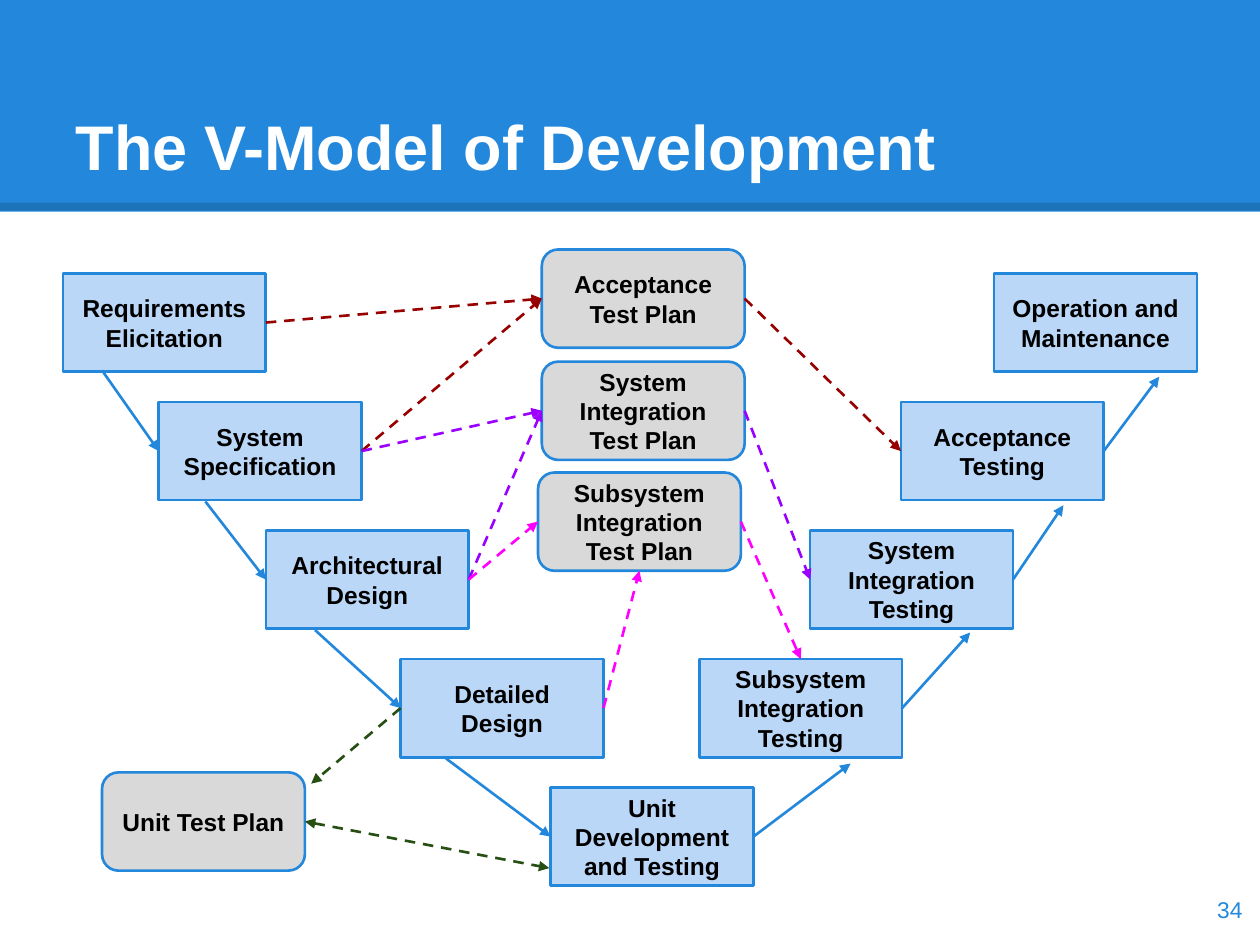
from dataclasses import dataclass
from typing import Optional, Union

from lxml import etree
from pptx import Presentation
from pptx.dml.color import RGBColor
from pptx.enum.dml import MSO_LINE
from pptx.enum.shapes import MSO_CONNECTOR, MSO_SHAPE
from pptx.enum.text import MSO_ANCHOR, MSO_AUTO_SIZE, PP_ALIGN
from pptx.oxml.ns import qn
from pptx.util import Inches, Pt

RECT, ROUNDED = MSO_SHAPE.RECTANGLE, MSO_SHAPE.ROUNDED_RECTANGLE
STRAIGHT, DASH = MSO_CONNECTOR.STRAIGHT, MSO_LINE.DASH
MIDDLE, BOTTOM_ANCHOR = MSO_ANCHOR.MIDDLE, MSO_ANCHOR.BOTTOM
NO_AUTOFIT = MSO_AUTO_SIZE.NONE
ALIGN_LEFT, ALIGN_CENTER, ALIGN_RIGHT = PP_ALIGN.LEFT, PP_ALIGN.CENTER, PP_ALIGN.RIGHT
TOP, LEFT, BOTTOM, RIGHT = range(4)

BLUE, PALE_BLUE, GREY = "2388DB", "BBD7F8", "D9D9D9"
RED, PURPLE, MAGENTA, GREEN = "980000", "9900FF", "FF00FF", "274E13"
WHITE, BLACK = "FFFFFF", "000000"
BOX_WIDTH, BOX_HEIGHT = 1.61, 0.78
FIRST_ROW, ROW_PITCH = 2.17, 1.02

End = Union[tuple[str, int], tuple[float, float]]


@dataclass(frozen=True)
class Box:
    label: str
    left: float
    top: float
    is_plan: bool = False


@dataclass(frozen=True)
class Arrow:
    start: End
    finish: End
    color: str = BLUE
    dashed: bool = False
    both_ways: bool = False


def row_top(row: int) -> float:
    return FIRST_ROW + row * ROW_PITCH


PHASES = [
    Box("Requirements Elicitation", 0.5, row_top(0)),
    Box("System Specification", 1.26, row_top(1)),
    Box("Architectural Design", 2.11, row_top(2)),
    Box("Detailed Design", 3.18, row_top(3)),
    Box("Unit Development and Testing", 4.37, row_top(4)),
    Box("Subsystem Integration Testing", 5.55, row_top(3)),
    Box("System Integration Testing", 6.43, row_top(2)),
    Box("Acceptance Testing", 7.15, row_top(1)),
    Box("Operation and Maintenance", 7.89, row_top(0)),
]
PLANS = [
    Box("Acceptance Test Plan", 4.3, 1.98, True),
    Box("System Integration Test Plan", 4.3, 2.87, True),
    Box("Subsystem Integration Test Plan", 4.27, 3.75, True),
    Box("Unit Test Plan", 0.81, 6.13, True),
]
REQUIREMENTS, SPECIFICATION, ARCHITECTURE, DETAIL, UNIT, SUBSYSTEM, SYSTEM, ACCEPTANCE, _ = [
    phase.label for phase in PHASES
]
ACCEPTANCE_PLAN, SYSTEM_PLAN, SUBSYSTEM_PLAN, UNIT_PLAN = [plan.label for plan in PLANS]

ARROWS = [
    Arrow((0.81, 2.94), (SPECIFICATION, LEFT)),
    Arrow((1.63, 3.98), (ARCHITECTURE, LEFT)),
    Arrow((2.5, 5.0), (DETAIL, LEFT)),
    Arrow((3.54, 6.02), (UNIT, LEFT)),
    Arrow((UNIT, RIGHT), (6.75, 6.06)),
    Arrow((SUBSYSTEM, RIGHT), (7.7, 5.02)),
    Arrow((SYSTEM, RIGHT), (8.44, 4.01)),
    Arrow((ACCEPTANCE, RIGHT), (9.2, 2.99)),
    Arrow((REQUIREMENTS, RIGHT), (ACCEPTANCE_PLAN, LEFT), RED, True),
    Arrow((SPECIFICATION, RIGHT), (ACCEPTANCE_PLAN, LEFT), RED, True),
    Arrow((SPECIFICATION, RIGHT), (SYSTEM_PLAN, LEFT), PURPLE, True),
    Arrow((ARCHITECTURE, RIGHT), (SYSTEM_PLAN, LEFT), PURPLE, True),
    Arrow((ARCHITECTURE, RIGHT), (SUBSYSTEM_PLAN, LEFT), MAGENTA, True),
    Arrow((DETAIL, RIGHT), (SUBSYSTEM_PLAN, BOTTOM), MAGENTA, True),
    Arrow((ACCEPTANCE_PLAN, RIGHT), (ACCEPTANCE, LEFT), RED, True),
    Arrow((SYSTEM_PLAN, RIGHT), (SYSTEM, LEFT), PURPLE, True),
    Arrow((SUBSYSTEM_PLAN, RIGHT), (SUBSYSTEM, TOP), MAGENTA, True),
    Arrow((UNIT_PLAN, RIGHT), (4.36, 6.89), GREEN, True, True),
    Arrow((DETAIL, LEFT), (2.47, 6.22), GREEN, True),
]


def rgb(color: str) -> RGBColor:
    return RGBColor.from_string(color)


def write(shape, text: str, size: float, color: str, bold: bool, align, anchor) -> None:
    frame = shape.text_frame
    frame.word_wrap = True
    frame.auto_size = NO_AUTOFIT
    frame.vertical_anchor = anchor
    frame.margin_left = frame.margin_right = Inches(0.1)
    frame.margin_top = frame.margin_bottom = Inches(0.1)
    paragraph = frame.paragraphs[0]
    paragraph.alignment = align
    run = paragraph.add_run()
    run.text = text
    run.font.name = "Arial"
    run.font.size = Pt(size)
    run.font.bold = bold
    run.font.color.rgb = rgb(color)


def add_filled(slide, kind, left: float, top: float, width: float, height: float,
               fill: str, outline: Optional[str] = None):
    shape = slide.shapes.add_shape(kind, Inches(left), Inches(top), Inches(width), Inches(height))
    shape.shadow.inherit = False
    shape.fill.solid()
    shape.fill.fore_color.rgb = rgb(fill)
    if outline:
        shape.line.color.rgb = rgb(outline)
        shape.line.width = Pt(1.5)
    else:
        shape.line.fill.background()
    return shape


def add_box(slide, box: Box):
    kind, fill = (ROUNDED, GREY) if box.is_plan else (RECT, PALE_BLUE)
    shape = add_filled(slide, kind, box.left, box.top, BOX_WIDTH, BOX_HEIGHT, fill, BLUE)
    write(shape, box.label, 14, BLACK, True, ALIGN_CENTER, MIDDLE)
    return shape


def add_line(slide, start: tuple, finish: tuple, color: str, width: float):
    points = [Inches(length) for length in (*start, *finish)]
    line = slide.shapes.add_connector(STRAIGHT, *points)
    line.line.color.rgb = rgb(color)
    line.line.width = Pt(width)
    etree.SubElement(line.element.spPr, qn("a:effectLst"))
    return line


def add_arrow(slide, arrow: Arrow, boxes: dict) -> None:
    joined = [isinstance(end[0], str) for end in (arrow.start, arrow.finish)]
    start = (0, 0) if joined[0] else arrow.start
    finish = (0, 0) if joined[1] else arrow.finish
    line = add_line(slide, start, finish, arrow.color, 1.5)
    if joined[0]:
        line.begin_connect(boxes[arrow.start[0]], arrow.start[1])
    if joined[1]:
        line.end_connect(boxes[arrow.finish[0]], arrow.finish[1])
    if arrow.dashed:
        line.line.dash_style = DASH
    stroke = line.element.spPr.find(qn("a:ln"))
    for tag in ["a:headEnd"] * arrow.both_ways + ["a:tailEnd"]:
        etree.SubElement(stroke, qn(tag), type="triangle")


def add_header(slide) -> None:
    add_filled(slide, RECT, 0, 0, 10, 1.68, BLUE)
    rule = add_line(slide, (0, 1.64), (10, 1.64), BLACK, 4.5)
    tint = rule.element.spPr.find(".//" + qn("a:srgbClr"))
    etree.SubElement(tint, qn("a:alpha"), val="15000")
    title = slide.shapes.title
    title.element.getparent().append(title.element)
    title.left, title.top, title.width, title.height = map(Inches, (0.5, 0.3, 9, 1.25))
    write(title, "The V-Model of Development", 36, WHITE, True, ALIGN_LEFT, BOTTOM_ANCHOR)


def main() -> None:
    deck = Presentation()
    deck.slide_width, deck.slide_height = Inches(10), Inches(7.5)
    slide = deck.slides.add_slide(deck.slide_layouts[5])
    add_header(slide)
    boxes = {box.label: add_box(slide, box) for box in PHASES + PLANS}
    for arrow in ARROWS:
        add_arrow(slide, arrow, boxes)
    page_number = slide.shapes.add_textbox(*map(Inches, (9.36, 6.93, 0.6, 0.57)))
    write(page_number, "34", 13, BLUE, False, ALIGN_RIGHT, MIDDLE)
    deck.save("out.pptx")


if __name__ == "__main__":
    main()
